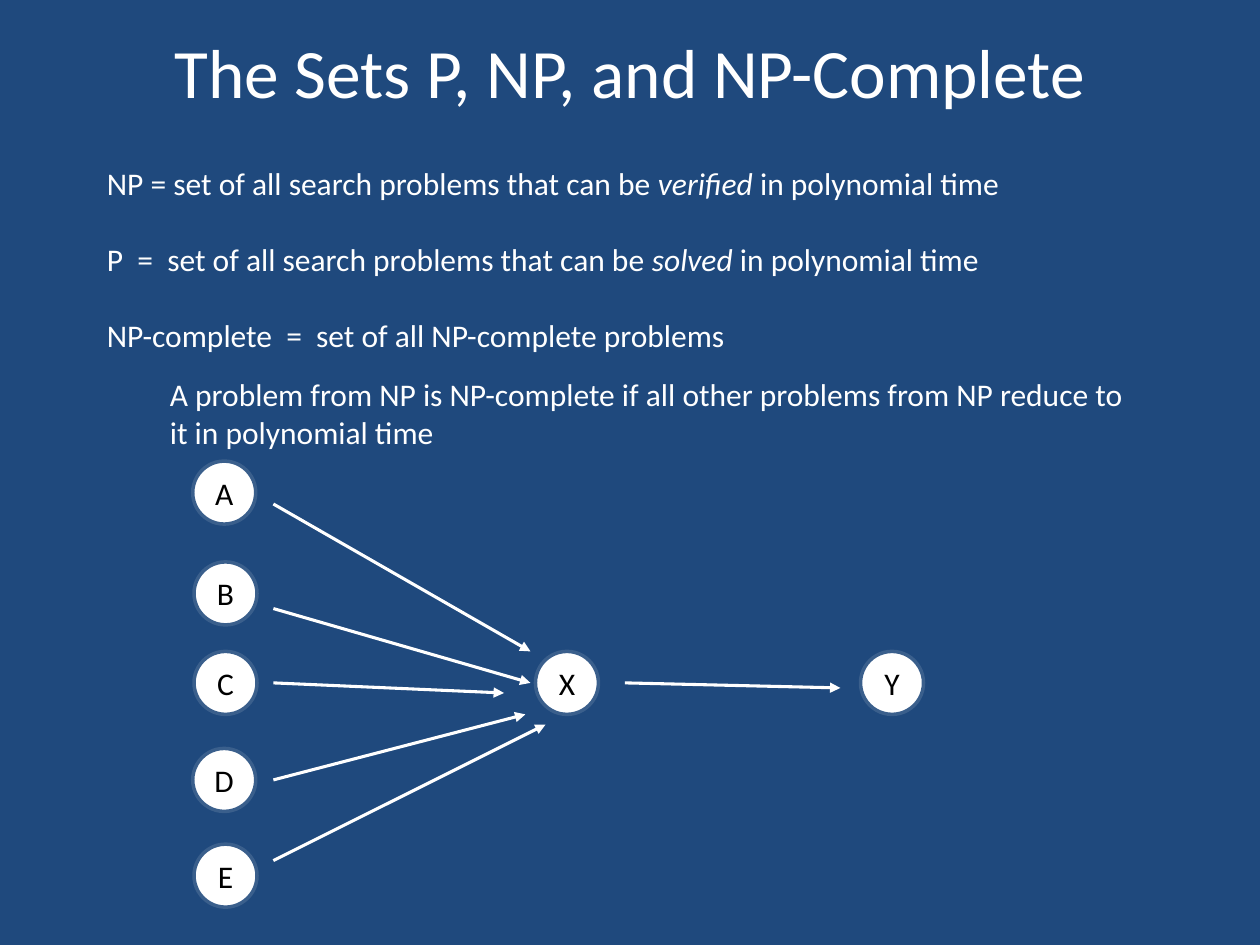
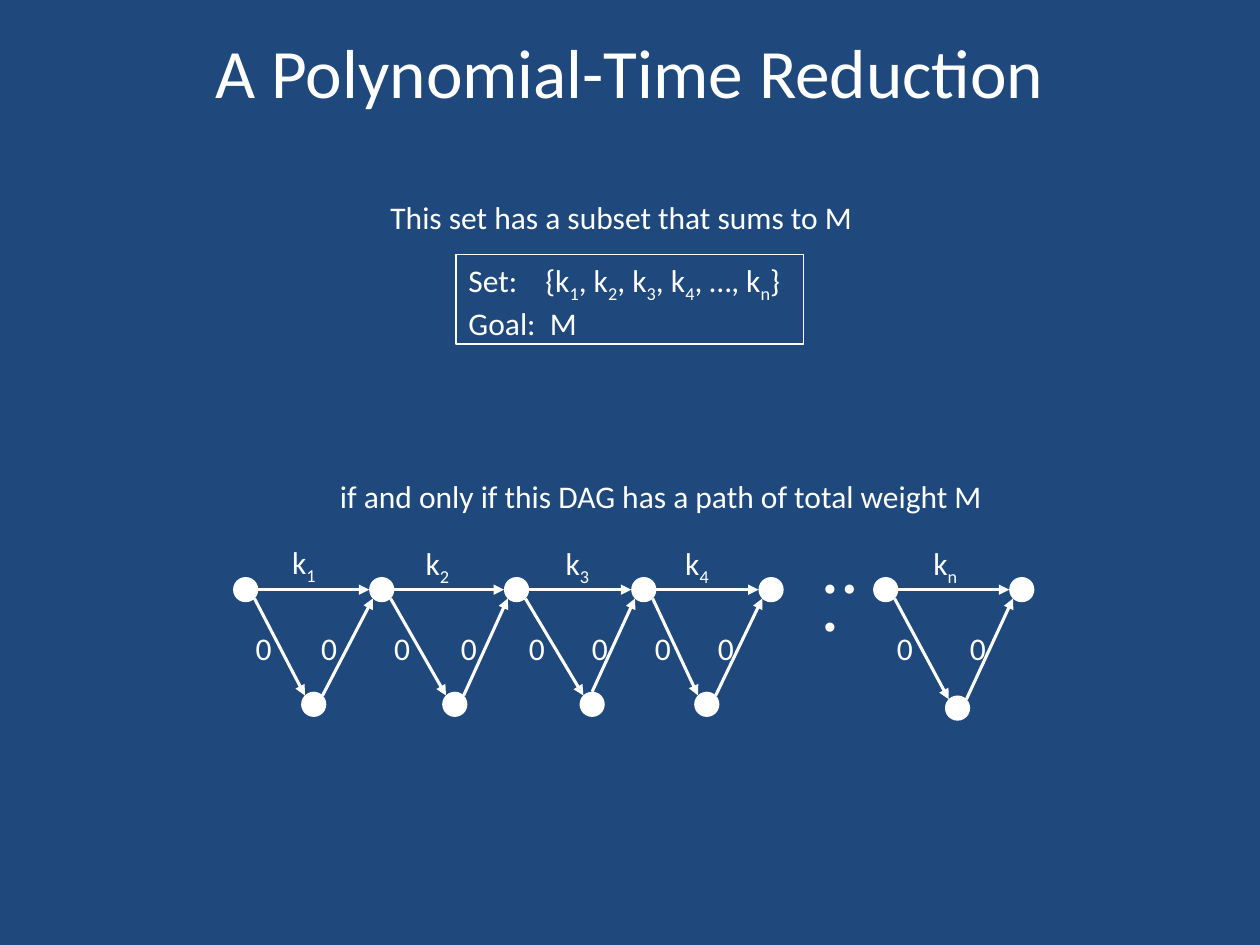
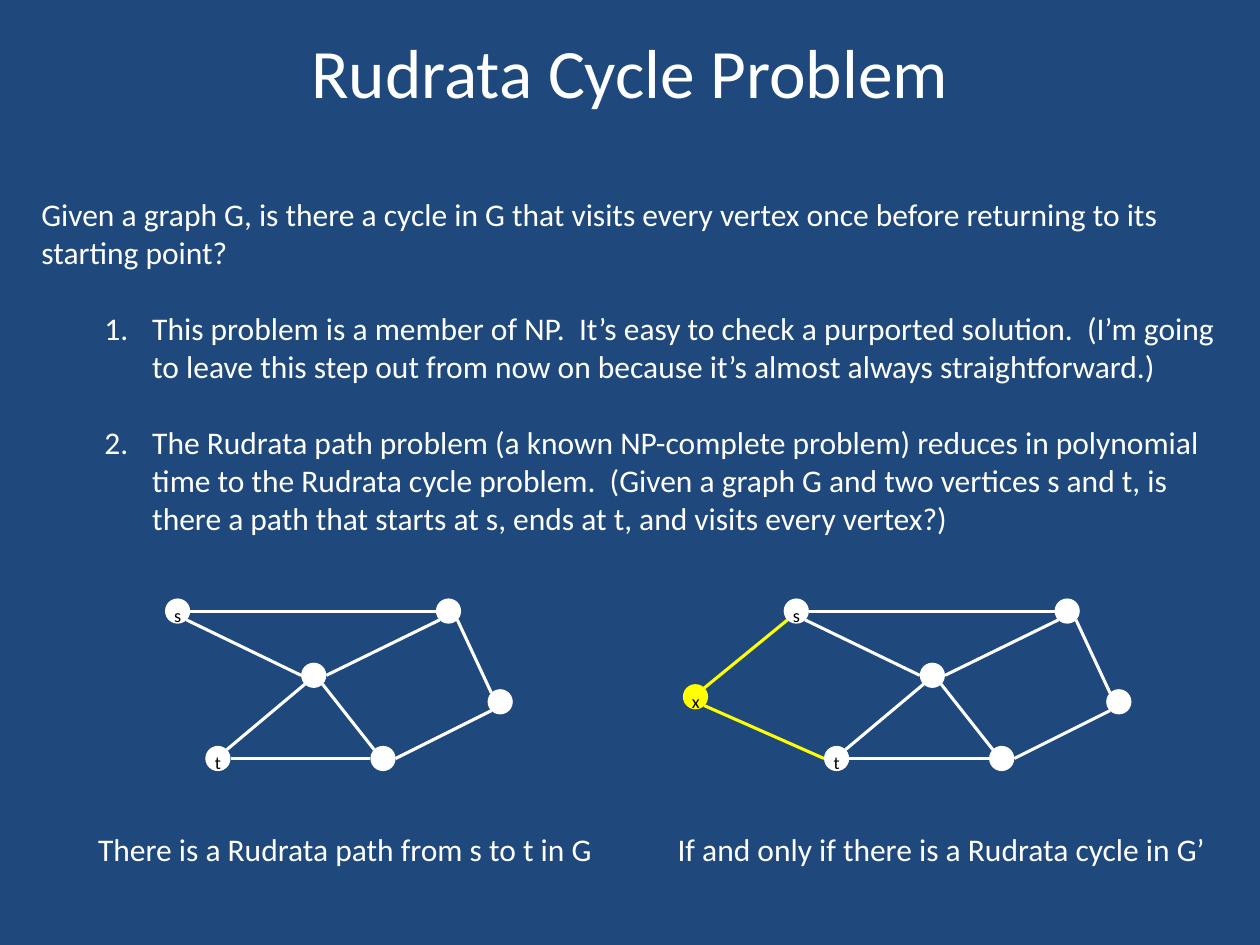
import pptx
import pptx.dml.color
import pptx.enum.shapes
import pptx.enum.text
import pptx.oxml.ns
import pptx.util
from lxml import etree

Inches = pptx.util.Inches
Pt = pptx.util.Pt
COLORS = {"ground": "1F497D", "white": "FFFFFF", "black": "000000",
          "rim": "3A5F8C", "added": "FFFF00"}
DOT = 0.2
SITES = {"N": (0.1, 0), "E": (0.2, 0.1), "W": (0, 0.1), "NE": (0.17, 0.03),
         "NW": (0.03, 0.03), "SE": (0.17, 0.17), "SW": (0.03, 0.17)}


def color(name):
    return pptx.dml.color.RGBColor.from_string(COLORS[name])


def add_xml(parent, tag, **attributes):
    return etree.SubElement(parent, pptx.oxml.ns.qn(tag), attributes)


def site(node, side):
    dx, dy = SITES[side]
    return node[0] + dx, node[1] + dy


class Deck:
    font = "Calibri"
    body_size = 18
    line_width = 1.75

    def __init__(self):
        self.presentation = pptx.Presentation()
        self.presentation.slide_width = Inches(10)
        self.presentation.slide_height = Inches(7.5)
        self.slide = None

    def start(self, title):
        self.slide = self.presentation.slides.add_slide(self.presentation.slide_layouts[6])
        fill = self.slide.background.fill
        fill.solid()
        fill.fore_color.rgb = color("ground")
        heading = self.text((0.5, 0.17, 9, 0.78), size=39.6, wrap=True, grow=False)
        heading.vertical_anchor = pptx.enum.text.MSO_ANCHOR.MIDDLE
        self.paragraph(heading, title, size=39.6).alignment = pptx.enum.text.PP_ALIGN.CENTER

    def paragraph(self, frame, runs, size=body_size, ink="white", before=0,
                  left=None, hanging=0, numbered=False, tab=None):
        used = frame.paragraphs[0].runs
        paragraph = frame.add_paragraph() if used else frame.paragraphs[0]
        if before:
            paragraph.space_before = Pt(before)
        properties = paragraph._p.get_or_add_pPr()
        if left is not None:
            properties.set("lvl", "1")
            properties.set("marL", str(Inches(left)))
            properties.set("indent", str(-Inches(hanging)))
        if numbered:
            add_xml(properties, "a:buFont", typeface="+mj-lt")
            add_xml(properties, "a:buAutoNum", type="arabicPeriod")
        if tab:
            add_xml(add_xml(properties, "a:tabLst"), "a:tab", pos=str(Inches(tab)), algn="l")
        for wording, style in [(runs, "")] if isinstance(runs, str) else runs:
            run = paragraph.add_run()
            run.text = wording
            run.font.name = self.font
            run.font.size = Pt(size)
            run.font.color.rgb = color(ink)
            if style == "italic":
                run.font.italic = True
            elif style:
                run.font._element.set("baseline", style)
        return paragraph

    def text(self, box, runs=None, size=body_size, wrap=False, grow=True):
        frame = self.slide.shapes.add_textbox(*map(Inches, box)).text_frame
        frame.word_wrap = wrap
        if grow:
            frame.auto_size = pptx.enum.text.MSO_AUTO_SIZE.SHAPE_TO_FIT_TEXT
        if runs:
            self.paragraph(frame, runs, size)
        return frame

    def shape(self, kind, box, fill=None, line=None, width=1):
        shape = self.slide.shapes.add_shape(kind, *map(Inches, box))
        shape.shadow.inherit = False
        if fill:
            shape.fill.solid()
            shape.fill.fore_color.rgb = color(fill)
        else:
            shape.fill.background()
        if line:
            shape.line.color.rgb = color(line)
            shape.line.width = Pt(width)
        else:
            shape.line.fill.background()
        return shape.text_frame

    def node(self, corner, label="", size=DOT, fill="white", rim=None, raised=""):
        frame = self.shape(pptx.enum.shapes.MSO_SHAPE.OVAL, (*corner, size, size), fill, rim, 2)
        frame.vertical_anchor = pptx.enum.text.MSO_ANCHOR.MIDDLE
        if label:
            paragraph = self.paragraph(frame, [(label, raised)], ink="black")
            paragraph.alignment = pptx.enum.text.PP_ALIGN.CENTER

    def edge(self, start, end, ink="white", arrow=False):
        connector = self.slide.shapes.add_connector(
            pptx.enum.shapes.MSO_CONNECTOR.STRAIGHT, *map(Inches, (*start, *end)))
        connector.line.color.rgb = color(ink)
        connector.line.width = Pt(self.line_width)
        if arrow:
            add_xml(connector.line._get_or_add_ln(), "a:tailEnd", type="triangle")
        add_xml(connector._element.spPr, "a:effectLst")


def subscripted(base, index):
    return [(base, ""), (index, "-25000")]


def sets_slide(deck):
    deck.start("The Sets P, NP, and NP-Complete")
    definitions = deck.text((0.75, 1.25, 8.42, 2.39), wrap=True)
    for before, name, verb in ((0, "NP = ", "verified"), (22, "P  =  ", "solved")):
        deck.paragraph(definitions, [(f"{name}set of all search problems that can be ", ""),
                                     (verb, "italic"), (" in polynomial time", "")],
                       before=before)
    deck.paragraph(definitions, "NP-complete  =  set of all NP-complete problems", before=22)
    deck.paragraph(definitions, "A problem from NP is NP-complete if all other problems "
                   "from NP reduce to it in polynomial time", before=12, left=0.5)
    problems = {"A": (1.53, 3.66), "B": (1.54, 4.46), "C": (1.54, 5.17), "D": (1.53, 5.94),
                "E": (1.54, 6.7), "X": (4.25, 5.17), "Y": (6.83, 5.17)}
    for label, corner in problems.items():
        deck.node(corner, label, size=0.5, rim="rim")
    reductions = [((2.17, 4), (4.21, 5.17)), ((2.17, 4.83), (4.21, 5.42)),
                  ((2.17, 5.42), (4, 5.5)), ((2.17, 6.19), (4.17, 5.67)),
                  ((2.17, 6.83), (4.33, 5.75)), ((4.96, 5.42), (6.67, 5.46))]
    for start, end in reductions:
        deck.edge(start, end, arrow=True)


def reduction_slide(deck):
    deck.start("A Polynomial-Time Reduction")
    deck.text((3, 1.52, 3.91, 0.4), "This set has a subset that sums to M")
    instance = deck.shape(pptx.enum.shapes.MSO_SHAPE.RECTANGLE, (3.62, 2.02, 2.76, 0.71),
                          line="white", width=0.75)
    instance.vertical_anchor = pptx.enum.text.MSO_ANCHOR.TOP
    members = subscripted("Set:\t{k", "1")
    for index in "234":
        members += subscripted(", k", index)
    members += subscripted(", …, k", "n") + [("}", "")]
    for line in (members, "Goal:  M"):
        paragraph = deck.paragraph(instance, line, tab=0.61)
        paragraph.alignment = pptx.enum.text.PP_ALIGN.LEFT

    deck.text((2.6, 3.74, 5.36, 0.4), "if and only if this DAG has a path of total weight M")
    top = 4.58
    for left in (1.85, 2.93, 4, 5.01, 6.02, 6.93, 8.01):
        deck.node((left, top))
    triangles = [("1", 1.85, 2.93, (2.39, 5.49), "NE", 2.22, (1.93, 2.45)),
                 ("2", 2.93, 4, (3.51, 5.49), "NE", 3.28, (3.03, 3.56)),
                 ("3", 4, 5.01, (4.6, 5.49), "N", 4.39, (4.1, 4.6)),
                 ("4", 5.01, 6.02, (5.51, 5.49), "NE", 5.34, (5.1, 5.6)),
                 ("n", 6.93, 8.01, (7.5, 5.52), "NE", 7.31, (7.02, 7.6))]
    for index, left, right, detour, exit_side, weight_left, zero_lefts in triangles:
        source, target = (left, top), (right, top)
        deck.node(detour)
        deck.edge(site(source, "E"), site(target, "W"), arrow=True)
        deck.edge(site(source, "SE"), site(detour, "NW"), arrow=True)
        deck.edge(site(detour, exit_side), site(target, "SW"), arrow=True)
        weight_top = 4.26 if index == "1" else 4.27
        deck.text((weight_left, weight_top, 0.4, 0.4), subscripted("k", index))
        for zero_left in zero_lefts:
            deck.text((zero_left, 4.94, 0.33, 0.4), "0")
    deck.text((6.41, 4.46, 0.51, 0.4), "∙∙∙", wrap=True)


def draw_graph(deck, shift):
    corners = {"s": (1.31, 4.75), "t": (1.63, 5.92), "hub": (2.39, 5.26),
               "top": (3.46, 4.75), "bottom": (2.94, 5.92), "right": (3.87, 5.47)}
    vertices = {name: (x + shift, y) for name, (x, y) in corners.items()}
    edges = [("s", "E", "top", "W"), ("s", "SE", "hub", "W"), ("hub", "E", "top", "SW"),
             ("t", "NE", "hub", "SW"), ("t", "E", "bottom", "W"),
             ("bottom", "NW", "hub", "SE"), ("right", "NW", "top", "SE"),
             ("bottom", "E", "right", "SW")]
    for name, corner in vertices.items():
        deck.node(corner, name if name in ("s", "t") else "", raised="4000")
    for start, start_side, end, end_side in edges:
        deck.edge(site(vertices[start], start_side), site(vertices[end], end_side))
    return vertices


def cycle_slide(deck):
    deck.start("Rudrata Cycle Problem")
    question = deck.text((0.23, 1.5, 9.58, 2.83), "Given a graph G, is there a cycle in G that "
                         "visits every vertex once before returning to its starting point?",
                         wrap=True)
    steps = ["This problem is a member of NP.  It’s easy to check a purported solution.  "
             "(I’m going to leave this step out from now on because it’s almost always "
             "straightforward.)",
             "The Rudrata path problem (a known NP-complete problem) reduces in polynomial "
             "time to the Rudrata cycle problem.  (Given a graph G and two vertices s and t, "
             "is there a path that starts at s, ends at t, and visits every vertex?)"]
    for step in steps:
        deck.paragraph(question, step, before=22, left=0.88, hanging=0.38, numbered=True)
    draw_graph(deck, 0)
    extended = draw_graph(deck, 4.91)
    extra = (5.42, 5.43)
    deck.node(extra, "x", fill="added", raised="4000")
    deck.edge(site(extra, "NE"), site(extended["s"], "SW"), "added")
    deck.edge(site(extra, "SE"), site(extended["t"], "W"), "added")
    deck.text((0.68, 6.54, 4.17, 0.4), "There is a Rudrata path from s to t in G")
    deck.text((5.28, 6.54, 4.44, 0.4), "If and only if there is a Rudrata cycle in G’")


def main():
    deck = Deck()
    sets_slide(deck)
    reduction_slide(deck)
    cycle_slide(deck)
    deck.presentation.save("out.pptx")


if __name__ == "__main__":
    main()
